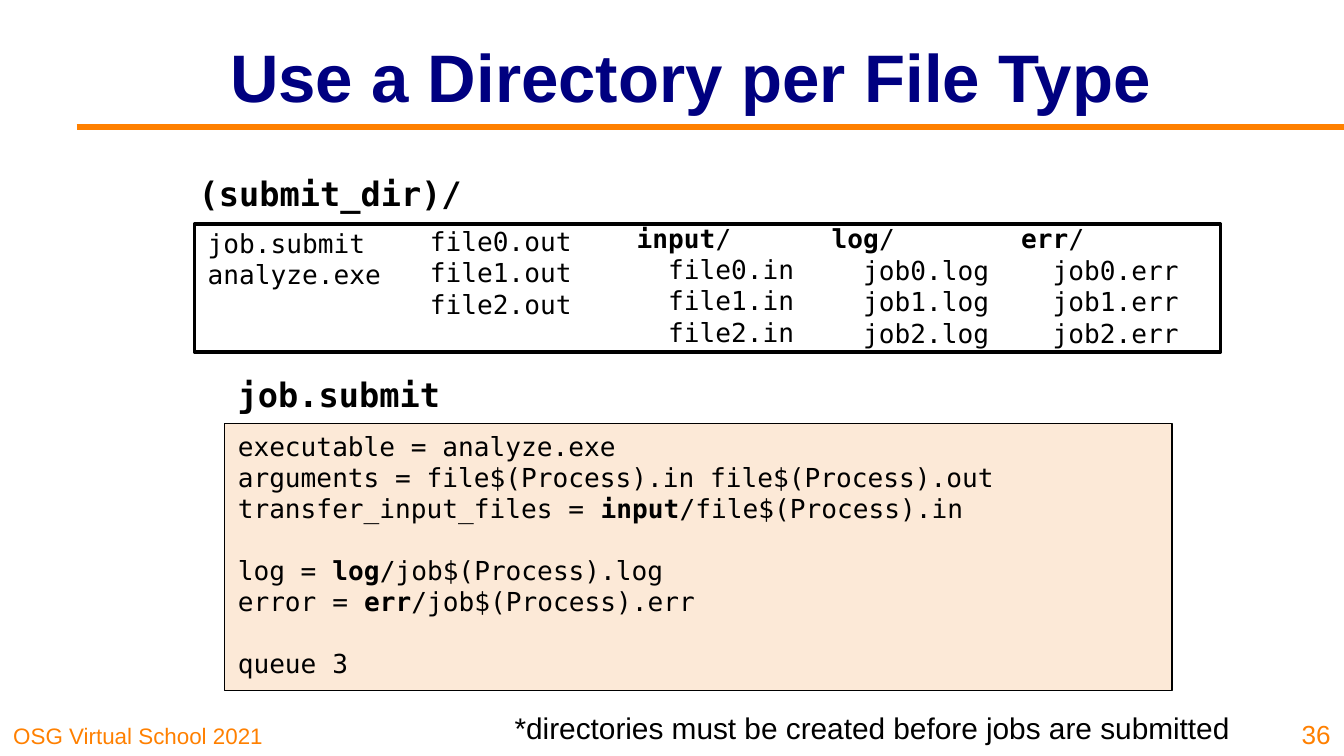
from pptx import Presentation
from pptx import util as u
from pptx.dml.color import RGBColor
from pptx.enum import shapes, text
from lxml import etree

Pt = u.Pt
MONO = "DejaVu Sans Mono"
TOP, MID, LOW = text.MSO_ANCHOR.TOP, text.MSO_ANCHOR.MIDDLE, text.MSO_ANCHOR.BOTTOM
LEFT, MEAN, RIGHT = text.PP_ALIGN.LEFT, text.PP_ALIGN.CENTER, text.PP_ALIGN.RIGHT


def hue(code):
    return RGBColor.from_string(code)


def write(shape, lines, size, face=MONO, color="000000", bold=False,
          align=LEFT, anchor=TOP):
    frame = shape.text_frame
    frame.word_wrap = True
    frame.vertical_anchor = anchor
    for i, line in enumerate(lines):
        para = frame.paragraphs[0] if i == 0 else frame.add_paragraph()
        para.alignment = align
        font = para.font
        font.size, font.name, font.bold = Pt(size), face, bold
        font.color.rgb = hue(color)
        for j, part in enumerate(line.split("|")):
            if part:
                run = para.add_run()
                run.text = part
                if j % 2:
                    run.font.bold = True
    return frame


deck = Presentation()
deck.slide_width, deck.slide_height = Pt(720), Pt(405)
slide = deck.slides.add_slide(deck.slide_layouts[6])
items = slide.shapes

rule = items.add_connector(shapes.MSO_CONNECTOR.STRAIGHT, Pt(41), Pt(68.2), Pt(720), Pt(68.2))
rule.line.color.rgb = hue("FF8000")
rule.line.width = Pt(3)
etree.SubElement(
    rule._element.spPr,
    "{http://schemas.openxmlformats.org/drawingml/2006/main}effectLst")

code = [
    "executable = analyze.exe",
    "arguments = file$(Process).in file$(Process).out",
    "transfer_input_files = |input|/file$(Process).in",
    "log = |log|/job$(Process).log",
    "error = |err|/job$(Process).err",
    "queue 3",
]
panels = [
    (120.3, 226.8, 507.6, 143.2, "FCE9D7", 0.75, code),
    (104.2, 120.2, 549.6, 68.4, "FFFFFF", 2, ["job.submit", "analyze.exe"]),
]
frames = []
for x, y, w, h, fill, line, lines in panels:
    box = items.add_shape(shapes.MSO_SHAPE.RECTANGLE, Pt(x), Pt(y), Pt(w), Pt(h))
    box.shadow.inherit = False
    box.fill.solid()
    box.fill.fore_color.rgb = hue(fill)
    box.line.color.rgb = hue("000000")
    box.line.width = Pt(line)
    frames.append(write(box, lines, 14))
script, files = frames
for i in (3, 5):
    script.paragraphs[i].space_before = Pt(16.3)
files.margin_top = Pt(1.6)

folders = [
    (334, 130, 64.8, "input", "file", "in"),
    (438.5, 135, 65.5, "log", "job", "log"),
    (540, 121, 65.5, "err", "job", "err"),
]
for x, w, h, name, stem, ext in folders:
    box = items.add_textbox(Pt(x), Pt(120.2), Pt(w), Pt(h))
    lines = [f"|{name}|/"] + [f"{stem}{i}.{ext}" for i in range(3)]
    frame = write(box, lines, 14, anchor=MID)
    for para in frame.paragraphs[1:]:
        para._p.get_or_add_pPr().set("marL", str(Pt(16.86)))

labels = [
    (223.2, 117.4, 91.5, 56.9, [f"file{i}.out" for i in range(3)],
     14, MONO, "000000", False, LEFT, MID),
    (96.5, 6.5, 547, 67.7, ["Use a Directory per File Type"],
     36, "Arial", "000080", True, MEAN, MID),
    (120.3, 196.6, 132.5, 28.8, ["job.submit"],
     18, MONO, "000000", True, LEFT, TOP),
    (99.4, 89.3, 170.6, 28.8, ["(submit_dir)/"],
     18, MONO, "000000", True, LEFT, TOP),
    (0, 382.3, 178.6, 22.3, ["OSG Virtual School 2021"],
     12, "Arial", "FF8000", False, LEFT, LOW),
    (686.9, 378, 33.1, 27, ["36"],
     14, "Arial", "FF8000", False, RIGHT, LOW),
    (174.2, 376.6, 491.8, 26.6,
     ["*directories must be created before jobs are submitted"],
     16, "Arial", "000000", False, RIGHT, TOP),
]
for x, y, w, h, *rest in labels:
    write(items.add_textbox(Pt(x), Pt(y), Pt(w), Pt(h)), *rest)

deck.save("out.pptx")
